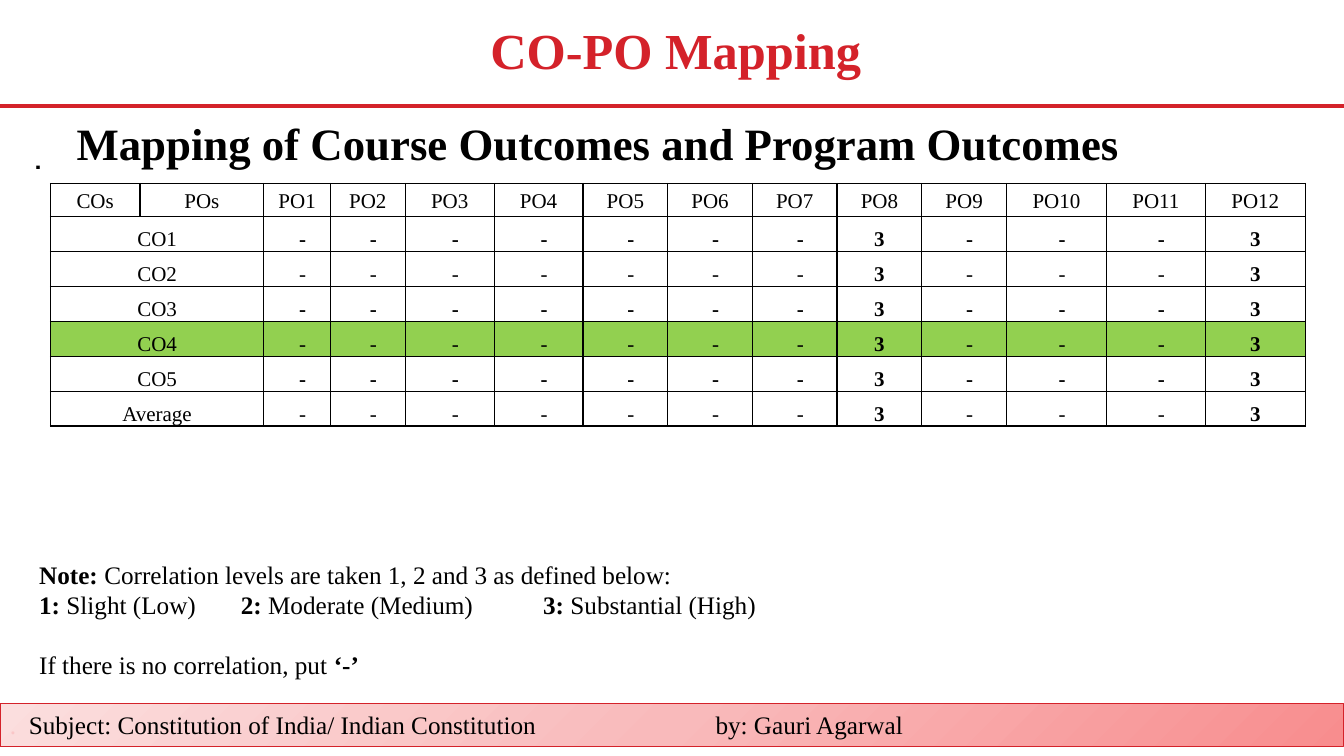
from copy import deepcopy

from pptx import Presentation
from pptx.dml.color import RGBColor
from pptx.enum.shapes import MSO_CONNECTOR, MSO_SHAPE
from pptx.enum.text import MSO_ANCHOR, MSO_AUTO_SIZE, PP_ALIGN
from pptx.oxml import parse_xml
from pptx.oxml.ns import nsdecls
from pptx.util import Pt

LEFT, MID, JUST = PP_ALIGN.LEFT, PP_ALIGN.CENTER, PP_ALIGN.JUSTIFY
TOP, CENTER = MSO_ANCHOR.TOP, MSO_ANCHOR.MIDDLE
RECT, LINE, FIXED = MSO_SHAPE.RECTANGLE, MSO_CONNECTOR.STRAIGHT, MSO_AUTO_SIZE.NONE

HUES = {"red": "D4222A", "black": "000000", "white": "FFFFFF", "green": "92D050",
        "rose": "F88D8E", "pink": "F9BABB", "blush": "FBDEDE", "faint": "FAC6C7"}
SERIF = "Times New Roman"

COLS = [64, 88.5, 47.5, 53.5, 63.5, 63.5] + [60.5] * 5 + [71.5, 70.5, 71.5]
HEAD = ["COs", "POs"] + [f"PO{n}" for n in range(1, 13)]
ROWS = ["CO1", "CO2", "CO3", "CO4", "CO5", "Average"]
HEAVY = {"CO1", "CO3", "CO5"}           # rows whose dashes are bold
FILLS = {"CO1": "white", "CO4": "green"}
MET = {"PO8", "PO12"}                   # outcomes rated 3


def tint(name):
    return RGBColor.from_string(HUES[name])


def write(frame, paras, size=18, font=SERIF, hue="black", bold=False,
          align=LEFT, lead=None, indent=0, tabs=(), gaps=()):
    """Fill a frame; a paragraph is text or a list of (text, changes) runs."""
    for i, runs in enumerate(paras):
        para = frame.paragraphs[0] if i == 0 else frame.add_paragraph()
        para.alignment = align
        if lead:
            para.line_spacing = lead
        if i < len(gaps):
            para.space_before = Pt(gaps[i])
        props = para._p.get_or_add_pPr()
        if indent:
            props.set("marL", str(Pt(indent)))
            props.set("indent", "0")
        if tabs:
            stops = "".join(f'<a:tab pos="{Pt(t)}" algn="l"/>' for t in tabs)
            props.append(parse_xml(f'<a:tabLst {nsdecls("a")}>{stops}</a:tabLst>'))
        for text, diff in [(runs, {})] if isinstance(runs, str) else runs:
            run = para.add_run()
            run.text = text
            run.font.name = font
            run.font.size = Pt(size)
            run.font.bold = diff.get("bold", bold)
            run.font.color.rgb = tint(diff.get("hue", hue))


class Page:
    def __init__(self, slide):
        self.slide = slide
        self.shapes = slide.shapes

    def setup(self, frame, pad, anchor):
        frame.word_wrap = True
        frame.auto_size = FIXED
        frame.vertical_anchor = anchor
        frame.margin_left = frame.margin_right = Pt(pad[0])
        frame.margin_top, frame.margin_bottom = Pt(pad[1]), Pt(pad[2])

    def title(self, text, box, **fmt):
        shape = self.shapes.title
        shape.left, shape.top, shape.width, shape.height = map(Pt, box)
        self.setup(shape.text_frame, (0, 1.3, 0), CENTER)
        write(shape.text_frame, [text], **fmt)

    def text(self, paras, box, pad=(7.2, 3.6, 3.6), anchor=TOP, **fmt):
        frame = self.shapes.add_textbox(*map(Pt, box)).text_frame
        self.setup(frame, pad, anchor)
        write(frame, paras, **fmt)

    def rule(self, x, y, end, width):
        line = self.shapes.add_connector(LINE, Pt(x), Pt(y), Pt(end), Pt(y))
        line.line.color.rgb = tint("red")
        line.line.width = Pt(width)
        line._element.spPr.append(parse_xml(f'<a:effectLst {nsdecls("a")}/>'))

    def band(self, paras, box, hues, **fmt):
        shape = self.shapes.add_shape(RECT, *map(Pt, box))
        shape.shadow.inherit = False
        shape.line.color.rgb = tint("red")
        shape.line.width = Pt(0.75)
        shape.fill.gradient()
        shape.fill.gradient_angle = 135
        first = shape._element.spPr.xpath(".//a:gs")[0]
        first.addnext(deepcopy(first))
        for i, (stop, hue) in enumerate(zip(shape.fill.gradient_stops, hues)):
            stop.position = i / (len(hues) - 1)
            stop.color.rgb = tint(hue)
        self.setup(shape.text_frame, (7.2, 3.6, 3.6), CENTER)
        write(shape.text_frame, paras, **fmt)

    def cell(self, cell, text, fill=None, anchor=CENTER, **fmt):
        cell.margin_left = cell.margin_right = Pt(5)
        cell.margin_top = cell.margin_bottom = 0
        cell.vertical_anchor = anchor
        props = cell._tc.get_or_add_tcPr()
        for side in ("lnL", "lnR", "lnT", "lnB"):
            props.append(parse_xml(
                f'<a:{side} {nsdecls("a")} w="{Pt(1)}"><a:solidFill>'
                f'<a:srgbClr val="{HUES["black"]}"/></a:solidFill></a:{side}>'))
        if fill:
            cell.fill.solid()
            cell.fill.fore_color.rgb = tint(fill)
        else:
            cell.fill.background()
        write(cell.text_frame, [text], size=15, align=MID, **fmt)

    def table(self, x, y, top, step):
        high = top + step * len(ROWS)
        grid = self.shapes.add_table(len(ROWS) + 1, len(COLS), Pt(x), Pt(y),
                                     Pt(sum(COLS)), Pt(high)).table
        grid.first_row = grid.horz_banding = False
        for col, wide in zip(grid.columns, COLS):
            col.width = Pt(wide)
        for i, row in enumerate(grid.rows):
            row.height = Pt(step if i else top)
        for c, name in enumerate(HEAD):
            self.cell(grid.cell(0, c), name, lead=1.15)
        for r, name in enumerate(ROWS, 1):
            fill = FILLS.get(name)
            grid.cell(r, 0).merge(grid.cell(r, 1))
            self.cell(grid.cell(r, 0), name, fill, lead=1.5)
            self.cell(grid.cell(r, 1), "", fill)
            for c, goal in enumerate(HEAD[2:], 2):
                met = goal in MET
                self.cell(grid.cell(r, c), "3" if met else "-", fill, TOP, lead=1.5,
                          bold=met or name in HEAVY, indent=0 if met else 8)


def main():
    deck = Presentation()
    deck.slide_width, deck.slide_height = Pt(960), Pt(540)
    page = Page(deck.slides.add_slide(deck.slide_layouts[5]))
    strong = {"bold": True}

    # Header rule and footer band
    page.rule(0, 75.6, 961, 3)
    page.band([[(".\t", {"hue": "faint"}),
                ("Subject: Constitution of India/ Indian Constitution\tby: Gauri Agarwal", {})]],
              (0, 502.5, 960, 30.5), ["rose", "pink", "blush"], tabs=(13.5, 504))

    # Headings
    page.title("CO-PO Mapping", (311, 12.2, 343.5, 44.6),
               size=36, hue="red", bold=True, align=MID)
    page.text(["Mapping of Course Outcomes and Program Outcomes"],
              (54, 82, 842.5, 39.6), pad=(0, 0.9, 0), size=32, bold=True, indent=0.7)
    page.text(["."], (17.3, 93, 924, 394), size=28, font="Cabin", lead=0.9)

    # Mapping table
    page.table(36, 131, 23.5, 25)

    # Key to the levels
    page.text([
        [("Note: ", strong),
         ("Correlation levels are taken 1, 2 and 3 as defined below:", {})],
        [("1: ", strong), ("Slight (Low)", {}), ("\t2: ", strong),
         ("Moderate (Medium)", {}), ("\t3: ", strong), ("Substantial (High)", {})],
        [("If there is no correlation, put", {}), (" ‘-’", strong)],
    ], (20.9, 395.3, 690.5, 94.3), anchor=CENTER, align=JUST,
        tabs=(144, 360), gaps=(0, 0, 21))

    deck.save("out.pptx")


if __name__ == "__main__":
    main()
